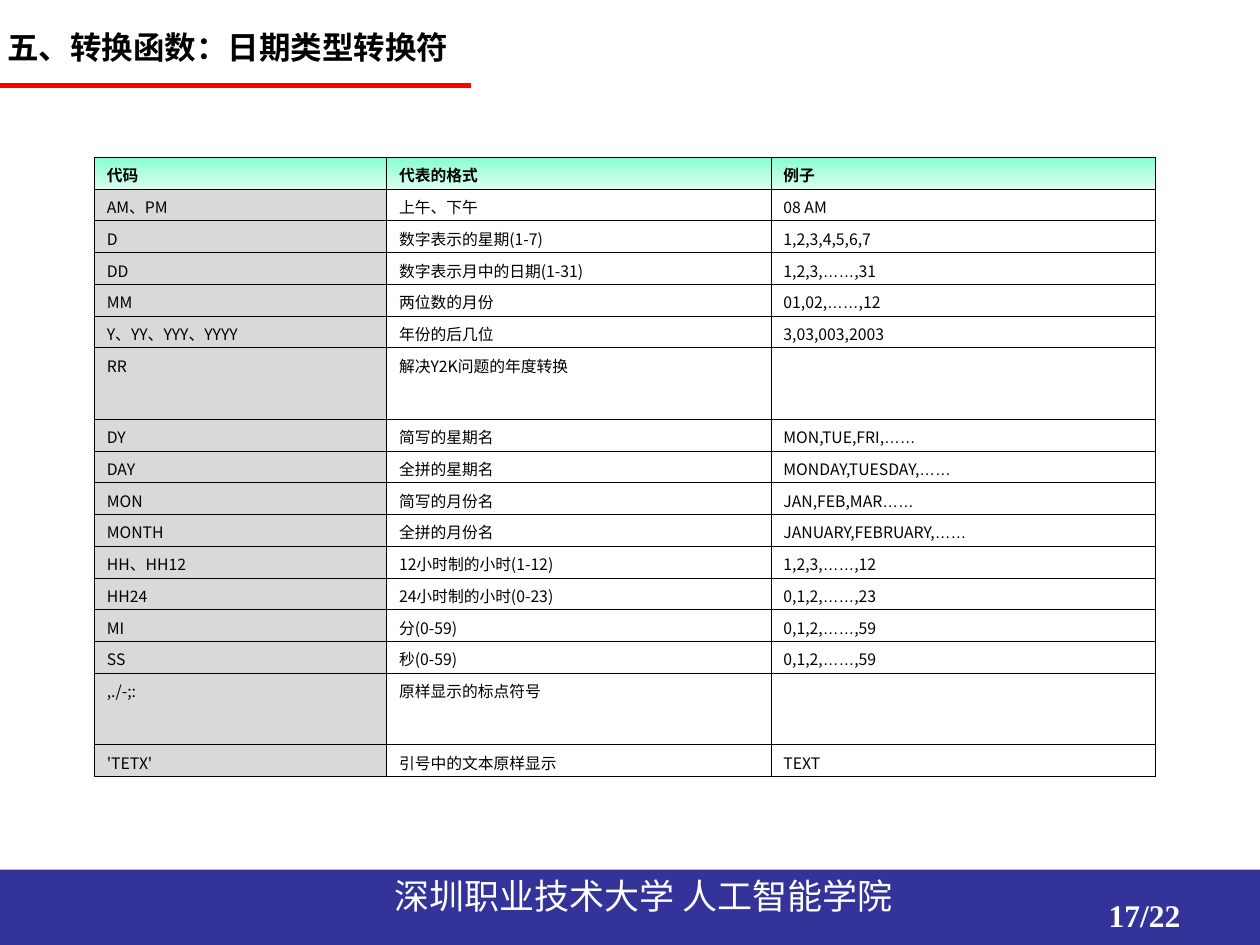
from lxml import etree
from pptx import Presentation
from pptx.dml.color import RGBColor
from pptx.enum.shapes import MSO_CONNECTOR, MSO_SHAPE
from pptx.oxml.ns import qn
from pptx.util import Cm, Pt

STRAIGHT = MSO_CONNECTOR.STRAIGHT
RECTANGLE = MSO_SHAPE.RECTANGLE

BLACK = RGBColor(0x00, 0x00, 0x00)
WHITE = RGBColor(0xFF, 0xFF, 0xFF)
RED = RGBColor(0xFF, 0x00, 0x00)
NAVY = RGBColor(0x33, 0x33, 0x99)
GREY = RGBColor(0xD9, 0xD9, 0xD9)
HEADER_TOP = RGBColor(0x86, 0xFF, 0xCF)
HEADER_BOTTOM = RGBColor(0xDC, 0xFF, 0xEF)

CJK_FONT = "Noto Sans CJK SC"
LATIN_FONT = "Arial"
NUMBER_FONT = "Times New Roman"
ELLIPSIS = "……"

TITLE = "五、转换函数：日期类型转换符"
SCHOOL = "深圳职业技术大学 人工智能学院"
PAGE_NUMBER = "17/22"

FORMAT_CODES = [
    ("代码", "代表的格式", "例子"),
    ("AM、PM", "上午、下午", "08 AM"),
    ("D", "数字表示的星期(1-7)", "1,2,3,4,5,6,7"),
    ("DD", "数字表示月中的日期(1-31)", "1,2,3,……,31"),
    ("MM", "两位数的月份", "01,02,……,12"),
    ("Y、YY、YYY、YYYY", "年份的后几位", "3,03,003,2003"),
    ("RR", "解决Y2K问题的年度转换", ""),
    ("DY", "简写的星期名", "MON,TUE,FRI,……"),
    ("DAY", "全拼的星期名", "MONDAY,TUESDAY,……"),
    ("MON", "简写的月份名", "JAN,FEB,MAR……"),
    ("MONTH", "全拼的月份名", "JANUARY,FEBRUARY,……"),
    ("HH、HH12", "12小时制的小时(1-12)", "1,2,3,……,12"),
    ("HH24", "24小时制的小时(0-23)", "0,1,2,……,23"),
    ("MI", "分(0-59)", "0,1,2,……,59"),
    ("SS", "秒(0-59)", "0,1,2,……,59"),
    (",./-;:", "原样显示的标点符号", ""),
    ("'TETX'", "引号中的文本原样显示", "TEXT"),
]
COLUMN_WIDTHS = (5.89, 7.75, 7.75)
ROW_HEIGHT = 0.64
ROW_HEIGHT_WITHOUT_EXAMPLE = 1.44


def add_run(paragraph, text, size, font_name, color, bold=False):
    run = paragraph.add_run()
    run.text = text
    font = run.font
    font.size = Pt(size)
    font.bold = bold
    font.color.rgb = color
    font.name = font_name
    east_asian = etree.SubElement(run._r.get_or_add_rPr(), qn("a:ea"))
    east_asian.set("typeface", CJK_FONT)


def add_text(slide, box, text, size, font_name, color, bold=False, line_spacing=1.0):
    shape = slide.shapes.add_textbox(*(Cm(length) for length in box))
    shape.text_frame.word_wrap = True
    paragraph = shape.text_frame.paragraphs[0]
    paragraph.line_spacing = line_spacing
    add_run(paragraph, text, size, font_name, color, bold)


def add_borders(cell):
    properties = cell._tc.get_or_add_tcPr()
    for side in ("lnL", "lnR", "lnT", "lnB"):
        line = etree.SubElement(properties, qn(f"a:{side}"), w=str(Pt(0.45)))
        fill = etree.SubElement(line, qn("a:solidFill"))
        etree.SubElement(fill, qn("a:srgbClr"), val=str(BLACK))


def fill_cell(cell, is_header, is_code):
    if is_header:
        cell.fill.gradient()
        cell.fill.gradient_angle = 270
        for stop, color in zip(cell.fill.gradient_stops, (HEADER_TOP, HEADER_BOTTOM)):
            stop.color.rgb = color
    elif is_code:
        cell.fill.solid()
        cell.fill.fore_color.rgb = GREY
    else:
        cell.fill.background()


def write_cell(cell, text, bold):
    cell.margin_bottom = Cm(0)
    paragraph = cell.text_frame.paragraphs[0]
    indent = paragraph._p.get_or_add_pPr()
    indent.set("marL", str(Cm(0.95)))
    indent.set("indent", str(Cm(-0.95)))
    # The ellipsis has its own font
    for part, font_name in zip(text.partition(ELLIPSIS), (CJK_FONT, LATIN_FONT, CJK_FONT)):
        if part:
            add_run(paragraph, part, 9, font_name, BLACK, bold)


def add_format_table(slide):
    heights = [ROW_HEIGHT if row[-1] else ROW_HEIGHT_WITHOUT_EXAMPLE for row in FORMAT_CODES]
    table = slide.shapes.add_table(
        len(FORMAT_CODES), len(COLUMN_WIDTHS), Cm(1.9), Cm(3.17),
        Cm(sum(COLUMN_WIDTHS)), Cm(sum(heights))).table
    table.first_row = False
    table.horz_banding = False
    for column, width in zip(table.columns, COLUMN_WIDTHS):
        column.width = Cm(width)
    for row_index, (texts, height) in enumerate(zip(FORMAT_CODES, heights)):
        table.rows[row_index].height = Cm(height)
        for column_index, text in enumerate(texts):
            cell = table.cell(row_index, column_index)
            add_borders(cell)
            fill_cell(cell, row_index == 0, column_index == 0)
            write_cell(cell, text, bold=row_index == 0)


def main():
    presentation = Presentation()
    presentation.slide_width = Cm(25.4)
    presentation.slide_height = Cm(19.05)
    slide = presentation.slides.add_slide(presentation.slide_layouts[6])

    # Footer band
    band = slide.shapes.add_shape(RECTANGLE, Cm(0), Cm(17.53), Cm(25.4), Cm(1.52))
    band.shadow.inherit = False
    band.fill.solid()
    band.fill.fore_color.rgb = NAVY
    band.line.fill.background()

    # Title underline
    underline = slide.shapes.add_connector(STRAIGHT, Cm(0), Cm(1.73), Cm(9.5), Cm(1.73))
    underline.line.color.rgb = RED
    underline.line.width = Pt(3)
    etree.SubElement(underline._element.spPr, qn("a:effectLst"))

    # Footer texts, table and title
    add_text(slide, (7.7, 17.6, 12.55, 1.12), SCHOOL, 20, CJK_FONT, WHITE, line_spacing=0.9)
    add_text(slide, (22.1, 17.93, 5.92, 1.32), PAGE_NUMBER, 18, NUMBER_FONT, WHITE, bold=True)
    add_format_table(slide)
    add_text(slide, (-0.1, 0.53, 13.18, 1.78), TITLE, 18, LATIN_FONT, BLACK, bold=True,
             line_spacing=0.9)

    presentation.save("out.pptx")


if __name__ == "__main__":
    main()
